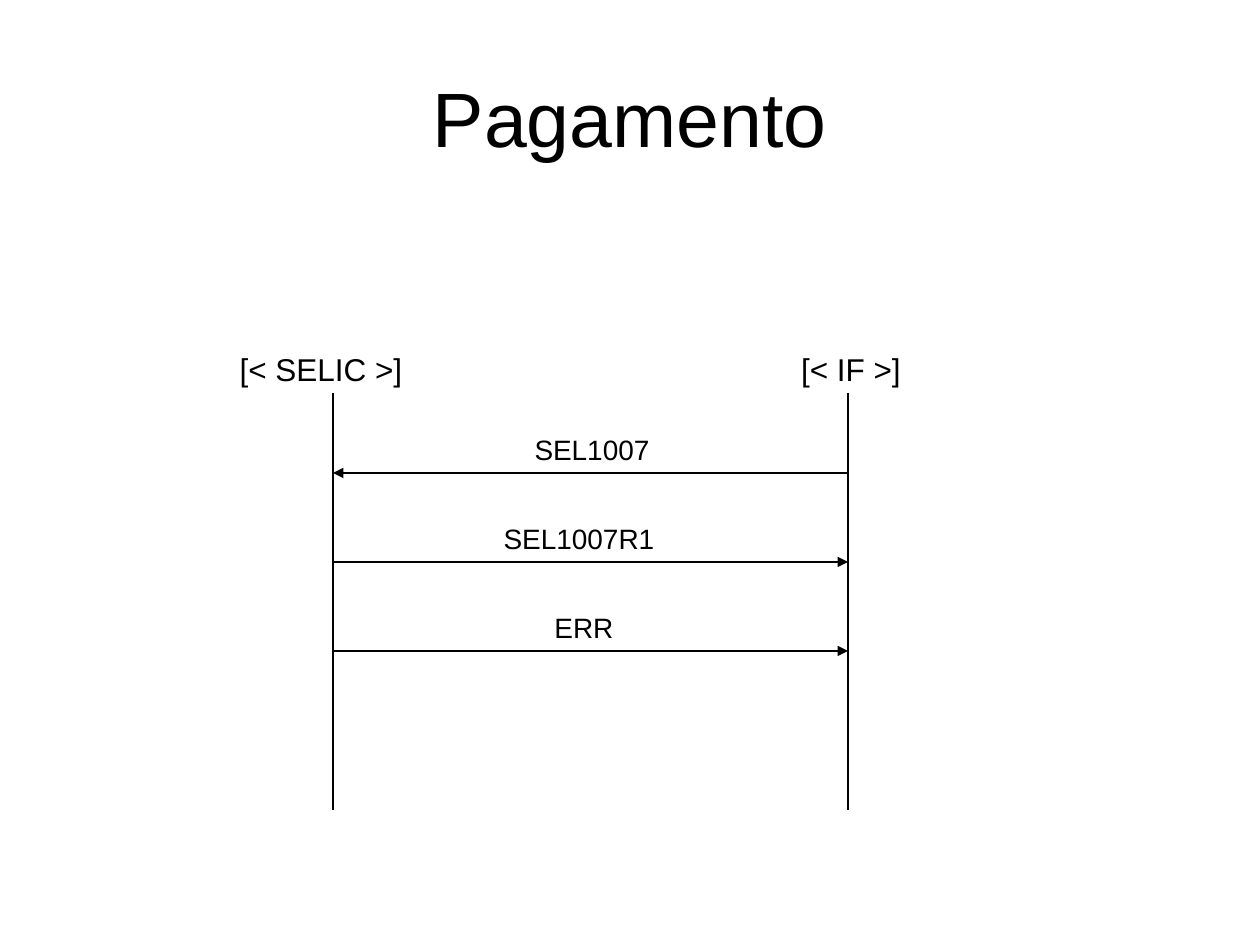
from lxml import etree
from pptx import Presentation
from pptx.dml.color import RGBColor
from pptx.enum import shapes, text
from pptx.oxml.ns import qn
from pptx.util import Pt

PX = 914400 // 126
BLACK = RGBColor(0, 0, 0)
FONT = "Arial"

TITLE = "Pagamento"
# name, lifeline x, label centre, label width
ACTORS = [("[< SELIC >]", 333, 321, 188), ("[< IF >]", 848, 851, 125)]
# name, sender, receiver, label centre, label width
MESSAGES = [
    ("SEL1007", 1, 0, 592, 140),
    ("SEL1007R1", 0, 1, 579, 176),
    ("ERR", 0, 1, 584, 84),
]
LIFE_TOP, LIFE_BOTTOM = 393, 810
FIRST_MESSAGE, MESSAGE_STEP = 473, 89


def write(tf, words, size, anchor=text.MSO_ANCHOR.TOP, wrap=False):
    tf.word_wrap = wrap
    tf.vertical_anchor = anchor
    p = tf.paragraphs[0]
    p.alignment = text.PP_ALIGN.CENTER
    r = p.add_run()
    r.text = words
    r.font.name, r.font.size, r.font.color.rgb = FONT, Pt(size), BLACK


def add_label(slide, words, centre, bottom, width, height, size):
    """Place a centred label that stands on the given height."""
    box = (centre - width / 2, bottom - height, width, height)
    sp = slide.shapes.add_textbox(*(round(v * PX) for v in box))
    write(sp.text_frame, words, size)
    sp.text_frame.auto_size = text.MSO_AUTO_SIZE.SHAPE_TO_FIT_TEXT


def add_line(slide, x1, y1, x2, y2, arrow=False):
    ends = (v * PX for v in (x1, y1, x2, y2))
    line = slide.shapes.add_connector(shapes.MSO_CONNECTOR.STRAIGHT, *ends)
    line.line.color.rgb, line.line.width = BLACK, Pt(1)
    if arrow:
        etree.SubElement(line.line._get_or_add_ln(), qn("a:tailEnd"), type="triangle")
    etree.SubElement(line._element.spPr, qn("a:effectLst"))


prs = Presentation()
prs.slide_width, prs.slide_height = 1260 * PX, 945 * PX
s = prs.slides.add_slide(prs.slide_layouts[5])

# Title
title = s.shapes.title
title.left, title.top, title.width, title.height = (v * PX for v in (63, 38, 1134, 157))
write(title.text_frame, TITLE, 44, anchor=text.MSO_ANCHOR.MIDDLE, wrap=True)

# Actors and their lifelines
for name, x, centre, width in ACTORS:
    add_label(s, name, centre, LIFE_TOP + 1, width, 50, 18)
    add_line(s, x, LIFE_TOP, x, LIFE_BOTTOM)

# Messages between the lifelines
for i, (name, sender, receiver, centre, width) in enumerate(MESSAGES):
    y = FIRST_MESSAGE + i * MESSAGE_STEP
    add_label(s, name, centre, y, width, 47, 16)
    add_line(s, ACTORS[sender][1], y, ACTORS[receiver][1], y, arrow=True)

prs.save("out.pptx")
